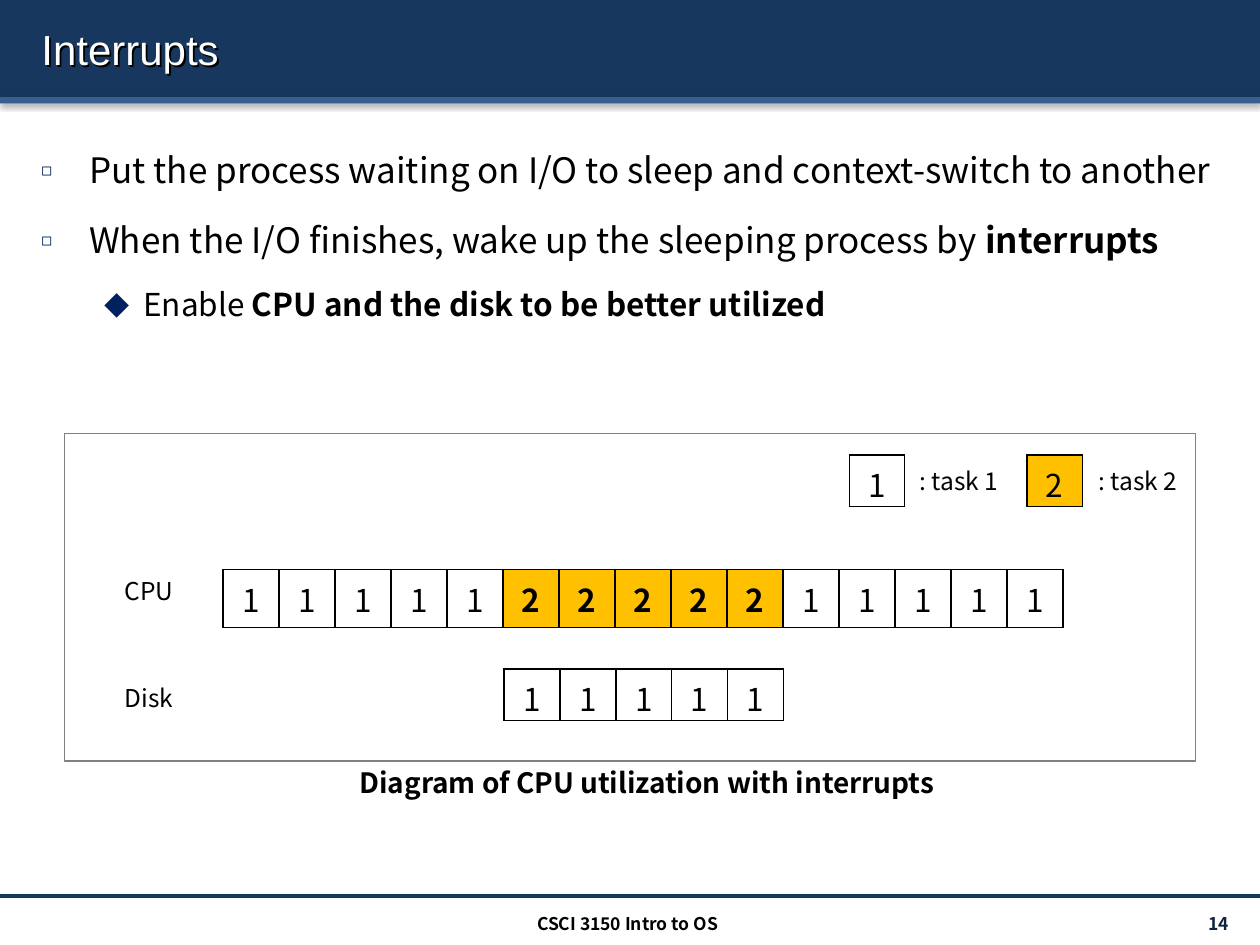
from pptx import Presentation
from pptx.util import Inches, Pt
from pptx.dml.color import RGBColor
from pptx.enum.shapes import MSO_SHAPE as Kind, MSO_CONNECTOR as Conn
from pptx.enum.text import PP_ALIGN as Align, MSO_ANCHOR as Anchor
from pptx.oxml import parse_xml
from pptx.oxml.ns import nsdecls

FONT = "Noto Sans CJK KR"
NAVY, GOLD = "17375E", "FFC000"
CELL, ROW = 0.44, 0.41

# Content: points as (level, runs as (text, bold))
POINTS = [
    (0, [("Put the process waiting on I/O to sleep and context-switch to another", False)]),
    (0, [("When the I/O finishes, wake up the sleeping process by ", False), ("interrupts", True)]),
    (1, [("Enable ", False), ("CPU and the disk to be better utilized", True)]),
]
# Level styles: size, left margin, hanging indent, bullet, bullet percent
LEVELS = [(20, 0.38, 0.38, "◻", 50), (18, 0.81, 0.31, "◆", 80)]
# Labels: text, box, size, bold, alignment, anchor
LABELS = [
    ("CPU", (0.89, 4.52, 0.8, 0.34), 14, False, Align.LEFT, Anchor.TOP),
    ("Disk", (0.89, 5.37, 0.8, 0.34), 14, False, Align.LEFT, Anchor.TOP),
    (": task 1", (7.2, 3.65, 1.34, 0.34), 14, False, Align.LEFT, Anchor.TOP),
    (": task 2", (8.62, 3.65, 0.87, 0.34), 14, False, Align.LEFT, Anchor.TOP),
    ("Diagram of CPU utilization with interrupts", (2.46, 6.03, 5.35, 0.37), 16, True,
     Align.CENTER, Anchor.TOP),
    ("CSCI 3150 Intro to OS", (3.32, 7.2, 3.32, 0.24), 10, True, Align.CENTER, Anchor.TOP),
]
# Task strips: tasks, left, top, width, height, bottom margin, bold tasks
STRIPS = [
    ("111112222211111", 1.77, 4.52, 6.67, 0.46, 0.05, "2"),
    ("11111", 4, 5.31, 2.22, ROW, 0, ""),
    ("1", 6.74, 3.61, CELL, ROW, 0, ""),
    ("2", 8.15, 3.61, CELL, ROW, 0, ""),
]


def rgb(code):
    return RGBColor.from_string(code)


def xml(tag, body):
    return parse_xml(f"<a:{tag} {nsdecls('a')}{body}")


def shadow(blur, dist, turn, alpha):
    return xml("effectLst", f'><a:outerShdw blurRad="{Pt(blur)}" dist="{Pt(dist)}" '
               f'dir="{turn * 60000}" rotWithShape="0"><a:srgbClr val="000000">'
               f'<a:alpha val="{alpha * 1000}"/></a:srgbClr></a:outerShdw></a:effectLst>')


def style(run, size, bold=False, color="000000", face=FONT):
    run.font.size, run.font.bold, run.font.name = Pt(size), bold, face
    run.font.color.rgb = rgb(color)


def write(box, anchor=Anchor.TOP):
    shape = slide.shapes.add_textbox(*map(Inches, box))
    text = shape.text_frame
    text.word_wrap, text.vertical_anchor = True, anchor
    return shape


def label(words, box, size, bold, align, anchor, color="000000", face=FONT):
    shape = write(box, anchor)
    para = shape.text_frame.paragraphs[0]
    para.text, para.alignment = words, align
    style(para.runs[0], size, bold, color, face)
    return shape


def bar(top, height, color):
    rect = slide.shapes.add_shape(Kind.RECTANGLE, 0, Inches(top), deck.slide_width, Inches(height))
    rect.fill.solid()
    rect.fill.fore_color.rgb = rgb(color)
    rect.line.fill.background()
    rect._element.spPr.append(shadow(3.1, 1.6, 90, 38))


def strip(tasks, left, top, width, height, foot, heavy):
    grid = slide.shapes.add_table(1, len(tasks), *map(Inches, (left, top, width, height))).table
    grid.first_row = grid.horz_banding = False
    for col, task in enumerate(tasks):
        grid.columns[col].width = Inches(width / len(tasks))
        cell = grid.cell(0, col)
        cell.margin_bottom = Inches(foot)
        props = cell._tc.get_or_add_tcPr()
        for side in "LRTB":
            props.append(xml(f"ln{side}", f' w="{Pt(1)}"><a:solidFill><a:srgbClr val="000000"/>'
                             f'</a:solidFill></a:ln{side}>'))
        if task == "2":
            cell.fill.solid()
            cell.fill.fore_color.rgb = rgb(GOLD)
        else:
            cell.fill.background()
        para = cell.text_frame.paragraphs[0]
        para.text, para.alignment = task, Align.CENTER
        style(para.runs[0], 18, task in heavy)


deck = Presentation()
deck.slide_width, deck.slide_height = Inches(10), Inches(7.5)
slide = deck.slides.add_slide(deck.slide_layouts[6])

# Header bars and footer rule
bar(0, 0.77, NAVY)
bar(0.77, 0.05, "376092")
rule = slide.shapes.add_connector(Conn.STRAIGHT, 0, Inches(7.11), deck.slide_width, Inches(7.11))
rule.line.color.rgb, rule.line.width = rgb(NAVY), Pt(2)
rule._element.spPr.append(xml("effectLst", "/>"))

# Title with a text shadow, and page number
title = label("Interrupts", (0.23, 0.07, 9.61, 0.64), 24, False, Align.LEFT, Anchor.MIDDLE,
              "FFFFFF", "Arial")
title._element.spPr.append(shadow(0, 1.5, 45, 100))
label("14", (8.68, 7.21, 1.17, 0.24), 10, True, Align.RIGHT, Anchor.MIDDLE, "0F243E")

# Bullet points
body = write((0.23, 0.96, 9.61, 2.3)).text_frame
for spot, (level, runs) in enumerate(POINTS):
    size, left, hang, mark, scale = LEVELS[level]
    para = body.add_paragraph() if spot else body.paragraphs[0]
    para.level, para.line_spacing = level, 1.5
    if spot:
        para.space_before = Pt(size * 0.2)
    props = para._p.get_or_add_pPr()
    props.set("marL", str(Inches(left)))
    props.set("indent", str(-Inches(hang)))
    props.append(xml("buClr", '><a:srgbClr val="002060"/></a:buClr>'))
    props.append(xml("buSzPct", f' val="{scale * 1000}"/>'))
    props.append(xml("buFont", f' typeface="{FONT}"/>'))
    props.append(xml("buChar", f' char="{mark}"/>'))
    for words, bold in runs:
        run = para.add_run()
        run.text = words
        style(run, size, bold)

# Diagram frame, task strips and labels
panel = slide.shapes.add_shape(Kind.RECTANGLE, *map(Inches, (0.51, 3.44, 8.98, 2.6)))
panel.shadow.inherit = False
panel.fill.background()
panel.line.color.rgb, panel.line.width = rgb("808080"), Pt(0.75)
for item in STRIPS:
    strip(*item)
for item in LABELS:
    label(*item)

deck.save("out.pptx")
